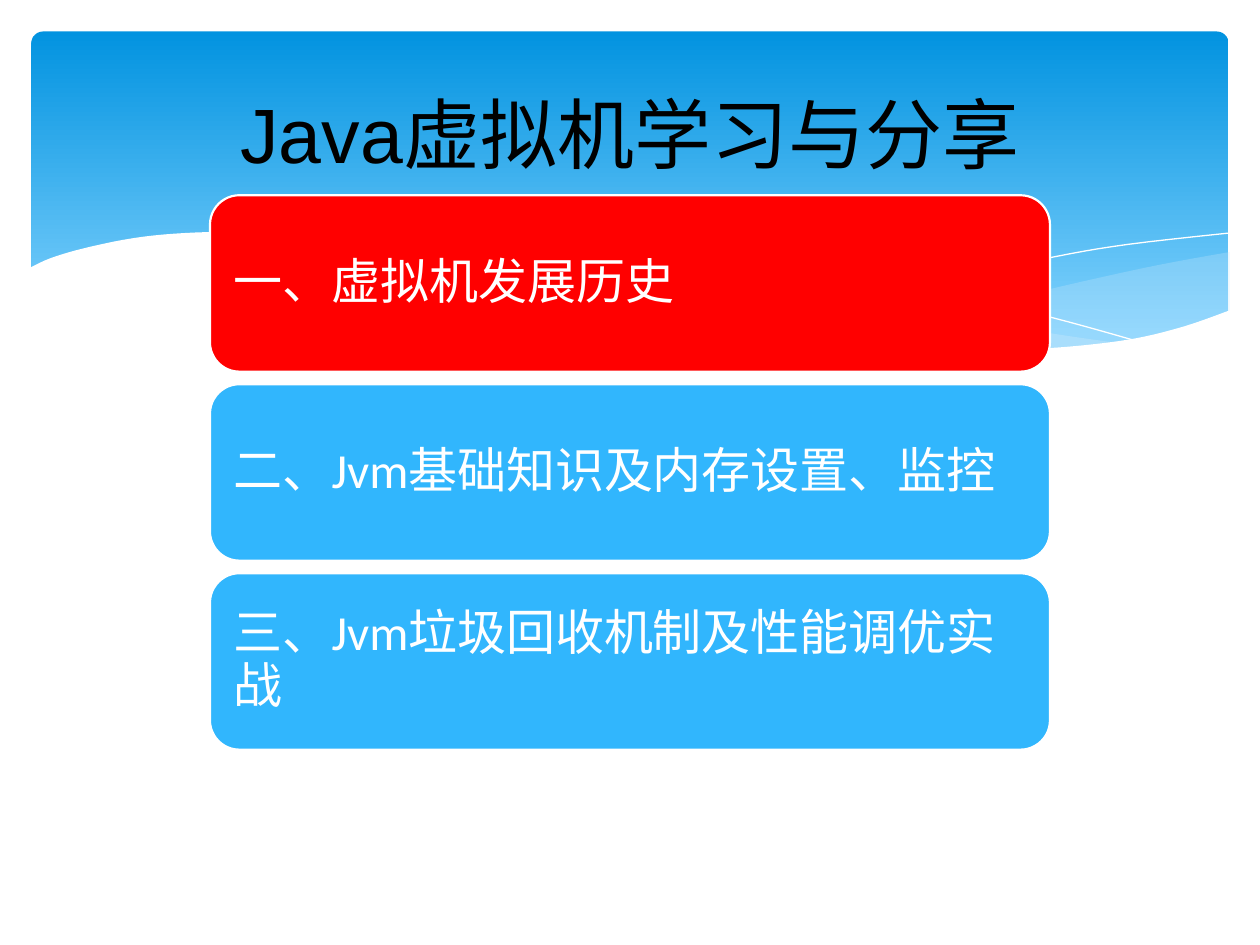
from lxml import etree
from pptx import Presentation
from pptx.dml.color import RGBColor
from pptx.enum.shapes import MSO_SHAPE
from pptx.enum.text import MSO_ANCHOR, PP_ALIGN
from pptx.oxml.ns import qn
from pptx.util import Inches, Pt

ROUNDED = MSO_SHAPE.ROUNDED_RECTANGLE
MIDDLE = MSO_ANCHOR.MIDDLE
LEFT, CENTER = PP_ALIGN.LEFT, PP_ALIGN.CENTER

WIDTH, HEIGHT = 10, 7.5
COLORS = {
    "sky_top": "0293E0", "sky_bottom": "83D3FE", "mist": "C6E7FC",
    "white": "FFFFFF", "black": "000000",
    "current": "FF0000", "topic": "31B6FD",
}

TITLE = "Java虚拟机学习与分享"
TOPICS = [
    ("一、虚拟机发展历史", "current"),
    ("二、Jvm基础知识及内存设置、监控", "topic"),
    ("三、Jvm垃圾回收机制及性能调优实战", "topic"),
]

WAVES = [
    {"fill": "mist", "opacity": 29, "curves": [
        [(9.76, 2), (9.21, 2.1), (8.61, 2.23), (7.79, 2.42), (7.06, 2.57), (6.61, 2.65)],
        [(6.61, 2.65), (7.19, 2.72), (7.69, 2.77), (8.14, 2.78), (8.54, 2.76),
         (8.97, 2.7), (9.35, 2.62), (9.76, 2.47)],
    ]},
    {"fill": "mist", "opacity": 40, "curves": [
        [(8.93, 2.73), (8.37, 2.65), (7.75, 2.54), (7.06, 2.4), (6.29, 2.22), (5.69, 2.08),
         (5.14, 1.98), (4.65, 1.91), (4.2, 1.87), (3.61, 1.85), (3.13, 1.88), (2.86, 1.91)],
        [(2.86, 1.91), (3.42, 1.99), (4.04, 2.11), (4.91, 2.32), (5.66, 2.48), (6.34, 2.61),
         (6.95, 2.7), (7.48, 2.76), (7.96, 2.78), (8.48, 2.77), (8.93, 2.73)],
    ]},
    {"line": "white", "curves": [
        [(3.09, 1.95), (3.53, 1.89), (4.16, 1.87), (4.89, 1.9), (5.56, 1.97), (6.36, 2.08),
         (7.27, 2.26), (8.31, 2.51), (9.07, 2.72)],
    ]},
    {"line": "white", "curves": [
        [(6.13, 2.57), (6.72, 2.41), (7.48, 2.23), (8.36, 2.04), (8.95, 1.94), (9.75, 1.85)],
    ]},
    {"fill": "white", "opacity": 100, "curves": [
        [(9.77, 2.46), (9.4, 2.59), (8.99, 2.69), (8.5, 2.75), (8.09, 2.77), (7.61, 2.75),
         (7.08, 2.7), (6.48, 2.62), (5.79, 2.5), (5.03, 2.33), (4.47, 2.2), (3.91, 2.07),
         (3.4, 1.97), (2.92, 1.9), (2.5, 1.86), (1.93, 1.84), (1.46, 1.85), (1.06, 1.89),
         (0.67, 1.97), (0.4, 2.05), (0.23, 2.13)],
        [(0.23, 3.29), (9.77, 3.29)],
    ]},
]


def color(name):
    return RGBColor.from_string(COLORS[name])


def smooth(knots, steps=5):
    if len(knots) == 2:
        return knots
    padded = [knots[0], *knots, knots[-1]]
    points = []
    for a, b, c, d in zip(padded, padded[1:], padded[2:], padded[3:]):
        for step in range(steps):
            t = step / steps
            points.append(tuple(
                (2 * q + (r - p) * t + (2 * p - 5 * q + 4 * r - s) * t ** 2
                 + (3 * q - p - 3 * r + s) * t ** 3) / 2
                for p, q, r, s in zip(a, b, c, d)))
    return points + [knots[-1]]


def add_wave(page, curves, fill=None, opacity=100, line=None):
    points = [(Inches(x), Inches(y)) for curve in curves for x, y in smooth(curve)]
    builder = page.shapes.build_freeform(*points[0])
    builder.add_line_segments(points[1:], close=fill is not None)
    wave = builder.convert_to_shape()
    wave.shadow.inherit = False
    if fill:
        wave.fill.solid()
        wave.fill.fore_color.rgb = color(fill)
        if opacity < 100:
            tint = wave.fill._xPr.find(qn("a:solidFill"))[0]
            etree.SubElement(tint, qn("a:alpha"), val=str(opacity * 1000))
    else:
        wave.fill.background()
    if line:
        wave.line.color.rgb = color(line)
        wave.line.width = Pt(0)
    else:
        wave.line.fill.background()


def add_rounded(page, left, top, width, height, corner):
    box = page.shapes.add_shape(ROUNDED, *map(Inches, (left, top, width, height)))
    box.adjustments[0] = corner
    box.shadow.inherit = False
    return box


def write(box, text, size, font, ink, align, inset=0.1, spacing=1.0, after=0):
    frame = box.text_frame
    frame.word_wrap = True
    frame.vertical_anchor = MIDDLE
    frame.margin_left = frame.margin_right = Inches(inset)
    frame.margin_top = frame.margin_bottom = Inches(min(inset, 0.12))
    para = frame.paragraphs[0]
    para.alignment = align
    para.line_spacing = spacing
    para.space_after = Pt(after)
    span = para.add_run()
    span.text = text
    span.font.size = Pt(size)
    span.font.name = font
    span.font.color.rgb = color(ink)


def add_sky(page):
    margin = 0.25
    sky = add_rounded(page, margin, margin, WIDTH - 2 * margin, 2.7, 0.034)
    sky.line.fill.background()
    sky.fill.gradient()
    sky.fill.gradient_angle = 270
    for stop, (name, position) in zip(sky.fill.gradient_stops,
                                      [("sky_top", 0), ("sky_bottom", 0.9)]):
        stop.color.rgb = color(name)
        stop.position = position


def add_title(page):
    title = page.shapes.title
    title.left, title.top = Inches(0.5), Inches(0.37)
    title.width, title.height = Inches(WIDTH - 1), Inches(1.37)
    write(title, TITLE, 44, "Arial", "black", CENTER)
    page.shapes._spTree.append(title._element)


def add_topics(page):
    width, height, top, pitch = WIDTH * 2 / 3, 1.4, 1.55, 1.5
    for row, (text, fill) in enumerate(TOPICS):
        box = add_rounded(page, (WIDTH - width) / 2, top + row * pitch, width, height, 1 / 6)
        box.fill.solid()
        box.fill.fore_color.rgb = color(fill)
        box.line.color.rgb = color("white")
        box.line.width = Pt(1.25)
        write(box, text, 28, "Calibri", "white", LEFT, inset=0.12, spacing=0.9, after=10)


def main():
    deck = Presentation()
    deck.slide_width, deck.slide_height = Inches(WIDTH), Inches(HEIGHT)
    page = deck.slides.add_slide(deck.slide_layouts.get_by_name("Title Only"))
    add_sky(page)
    for wave in WAVES:
        add_wave(page, **wave)
    add_title(page)
    add_topics(page)
    deck.save("out.pptx")


if __name__ == "__main__":
    main()
